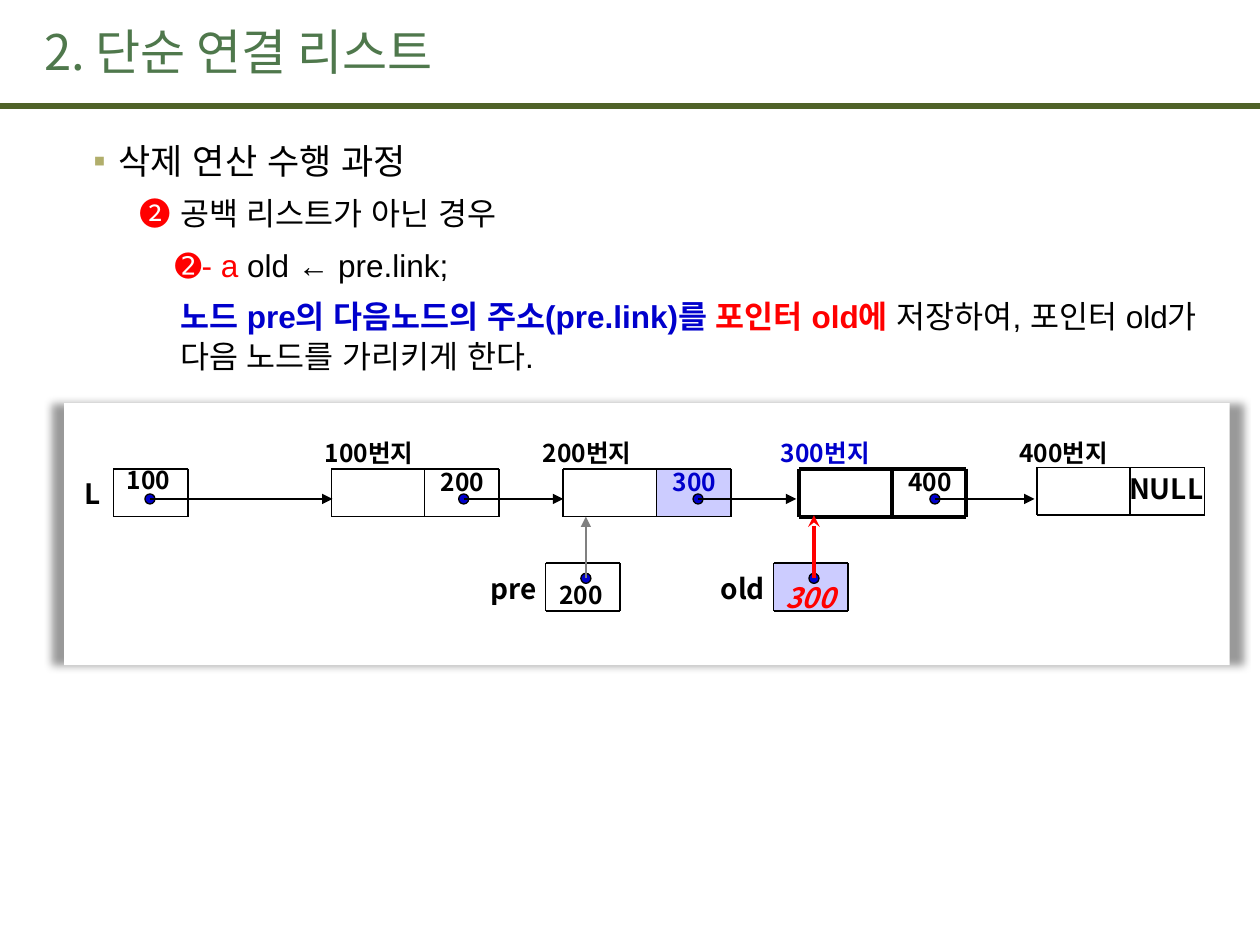
"""Build the slide on deleting a node from a singly linked list."""
from lxml import etree
from pptx import Presentation
from pptx import util as u
from pptx.dml.color import RGBColor
from pptx.enum import shapes, text
from pptx.oxml.ns import qn

WIDE, HIGH = 10, 7.5
KR, LATIN = "Noto Sans CJK KR", "Arial"
BLACK, BLUE, RED, PALE = "000000", "0000CC", "FF0000", "CCCCFF"
LEFT, MID, RIGHT = text.PP_ALIGN.LEFT, text.PP_ALIGN.CENTER, text.PP_ALIGN.RIGHT

TITLE = "2. 단순 연결 리스트"
# indent, hanging, size, line spacing, runs of (words, colour, bold)
BODY = [
    (0.59, -0.2, 20, 1.1, [("삭제 연산 수행 과정", BLACK, False)]),
    (0.76, 0, 18, 1.05, [("➋", RED, False), (" 공백 리스트가 아닌 경우", BLACK, False)]),
    (1.04, 0, 18, 1.05, [("➋- a ", RED, False), ("old ← pre.link;", BLACK, False)]),
    (1.08, 0, 18, 1.05, [
        ("노드 pre의 다음노드의 주소(pre.link)를 ", BLUE, True),
        ("포인터 old에 ", RED, True),
        ("저장하여, 포인터 old가 다음 노드를 가리키게 한다.", BLACK, False)]),
]
ROW, LOW, TALL, CELL, SPLIT, NODE, DOT = 3.72, 4.47, 0.38, 0.59, 0.74, 1.33, 0.08
# left, top, label, label left, label colour, link, link colour, link fill, line width
NODES = [
    (2.63, ROW, "100번지", 2.48, BLACK, "200", BLACK, None, 1),
    (4.47, ROW, "200번지", 4.21, BLACK, "300", BLUE, PALE, 1),
    (6.34, ROW, "300번지", 6.1, BLUE, "400", BLACK, None, 2.25),
    (8.23, 3.71, "400번지", 7.99, BLACK, None, BLACK, None, 1),
]
# left, top, name, name left, name width, fill
POINTERS = [
    (0.9, ROW, "L", 0.59, 0.21, None),
    (4.33, LOW, "pre", 3.74, 0.52, None),
    (6.14, LOW, "old", 5.55, 0.52, PALE),
]
# words, left, top, width, size, colour, alignment, italic
VALUES = [
    ("100", 0.91, 3.72, 0.56, 14, BLACK, LEFT, False),
    ("200", 4.34, 4.63, 0.56, 14, BLACK, LEFT, False),
    ("300", 5.99, 4.65, 0.88, 16, RED, MID, True),
]
# dot centre, then arrow end, colour, width, head
LINKS = [
    (1.19, 3.96, 2.64, 3.96, BLACK, 0.75, "triangle"),
    (3.68, 3.96, 4.47, 3.96, BLACK, 0.75, "triangle"),
    (5.54, 3.96, 6.32, 3.96, BLACK, 0.75, "triangle"),
    (7.42, 3.96, 8.21, 3.96, BLACK, 0.75, "triangle"),
    (4.65, 4.59, 4.65, 4.1, "808080", 0.75, "triangle"),
    (6.46, 4.59, 6.46, 4.09, RED, 2.25, "stealth"),
]


def tint(code):
    return RGBColor.from_string(code)


def sub(node, tag, **attrs):
    return etree.SubElement(node, qn(tag), attrs)


def style(run, size, code, face, bold=False, slant=False):
    font = run.font
    font.size, font.bold, font.italic = u.Pt(size), bold, slant
    font.color.rgb, font.name = tint(code), face
    sub(run._r.get_or_add_rPr(), "a:ea", typeface=face)


def place(shape, *box):
    shape.left, shape.top, shape.width, shape.height = map(u.Inches, box)


def line(home, x, y, x2, y2, code=BLACK, width=1, head=None):
    rule = home.add_connector(shapes.MSO_CONNECTOR.STRAIGHT, *map(u.Inches, (x, y, x2, y2)))
    rule.line.color.rgb, rule.line.width = tint(code), u.Pt(width)
    if head:
        sub(rule.line._get_or_add_ln(), "a:tailEnd", type=head)
    sub(rule._element.spPr, "a:effectLst")


def block(home, kind, box, fill, edge=None):
    shape = home.add_shape(kind, *map(u.Inches, box))
    shape.shadow.inherit = False
    shape.fill.solid()
    shape.fill.fore_color.rgb = tint(fill)
    if edge:
        shape.line.color.rgb, shape.line.width = tint(edge), u.Pt(0.75)
    else:
        shape.line.fill.background()
    return shape


def label(home, words, x, y, wide, tall=0.18, size=14, code=BLACK, side=LEFT,
          slant=False, flush=False):
    frame = home.add_textbox(*map(u.Inches, (x, y, wide, tall))).text_frame
    frame.word_wrap, frame.vertical_anchor = True, text.MSO_ANCHOR.MIDDLE
    if flush:
        frame.margin_left = frame.margin_top = 0
    if flush or side == LEFT:
        frame.margin_right = 0
    frame.text = words
    para = frame.paragraphs[0]
    para.alignment = side
    style(para.runs[0], size, code, KR, True, slant)


def grid(home, cols, y, width=1):
    for row in (y, y + TALL):
        line(home, cols[0], row, cols[-1], row, width=width)
    for col in cols:
        line(home, col, y, col, y + TALL, width=width)


def write(slide):
    head, body = slide.placeholders
    place(head, 0.25, 0.09, 8.27, 0.63)
    frame = head.text_frame
    frame.text, frame.vertical_anchor = TITLE, text.MSO_ANCHOR.MIDDLE
    frame.paragraphs[0].alignment = LEFT
    style(frame.paragraphs[0].runs[0], 28, "4F784C", KR)
    place(body, 0.25, 1.02, 9.5, 6.25)
    frame = body.text_frame
    for i, (left, hang, size, gap, runs) in enumerate(BODY):
        para = frame.add_paragraph() if i else frame.paragraphs[0]
        para.level = 2 if i else 1
        props = para._p.get_or_add_pPr()
        props.set("marL", str(u.Inches(left)))
        props.set("indent", str(u.Inches(hang)))
        if i:
            sub(props, "a:buNone")
        else:
            sub(sub(props, "a:buClr"), "a:srgbClr", val="B1AE6B")
            sub(props, "a:buFont", typeface=LATIN)
            sub(props, "a:buChar", char="▪")
        para.line_spacing, para.space_after = gap, u.Pt(3)
        para.space_before = u.Pt(size * 0.2 if i else 0)
        for words, code, bold in runs:
            run = para.add_run()
            run.text = words
            style(run, size, code, LATIN, bold)


def panel(home):
    rect = block(home, shapes.MSO_SHAPE.RECTANGLE, (0.51, 3.2, 9.25, 2.08), "FFFFFF")
    glow = sub(rect._element.spPr.find(qn("a:effectLst")), "a:outerShdw", blurRad="63500",
               sx="102000", sy="100000", algn="ctr", rotWithShape="0")
    sub(sub(glow, "a:srgbClr", val=BLACK), "a:alpha", val="40000")


def draw(home):
    box = shapes.MSO_SHAPE.RECTANGLE
    for x, y, name, left, code, link, ink, fill, width in NODES:
        part = home.add_group_shape().shapes
        if fill:
            block(part, box, (x + SPLIT, y, CELL, TALL), fill)
        grid(part, (x, x + SPLIT, x + NODE), y, width)
        label(part, name, left, 3.5, 0.96, code=code)
        if link:
            label(part, link, x + 0.77, 3.73, 0.56, code=ink)
        else:
            label(part, "NULL", x + 0.7, y, 0.65, TALL, 16, side=MID, flush=True)
    for x, y, name, left, wide, fill in POINTERS:
        part = home.add_group_shape().shapes
        if fill:
            block(part, box, (x, y, CELL, TALL), fill)
        grid(part, (x, x + CELL), y)
        label(part, name, left, y + 0.03, wide, TALL, 16, side=RIGHT, flush=True)
    for words, x, y, wide, size, code, side, slant in VALUES:
        label(home, words, x, y, wide, size=size, code=code, side=side, slant=slant)
    for x, y, *rest in LINKS:
        spot = (x - DOT / 2, y - DOT / 2, DOT, DOT)
        block(home, shapes.MSO_SHAPE.OVAL, spot, BLUE, BLACK)
        line(home, x, y, *rest)


def main():
    deck = Presentation()
    deck.slide_width, deck.slide_height = u.Inches(WIDE), u.Inches(HIGH)
    slide = deck.slides.add_slide(deck.slide_layouts[1])
    write(slide)
    line(slide.shapes, 0, 0.84, WIDE, 0.84, "4F6228", 3.75)
    panel(slide.shapes)
    draw(slide.shapes)
    deck.save("out.pptx")


if __name__ == "__main__":
    main()
